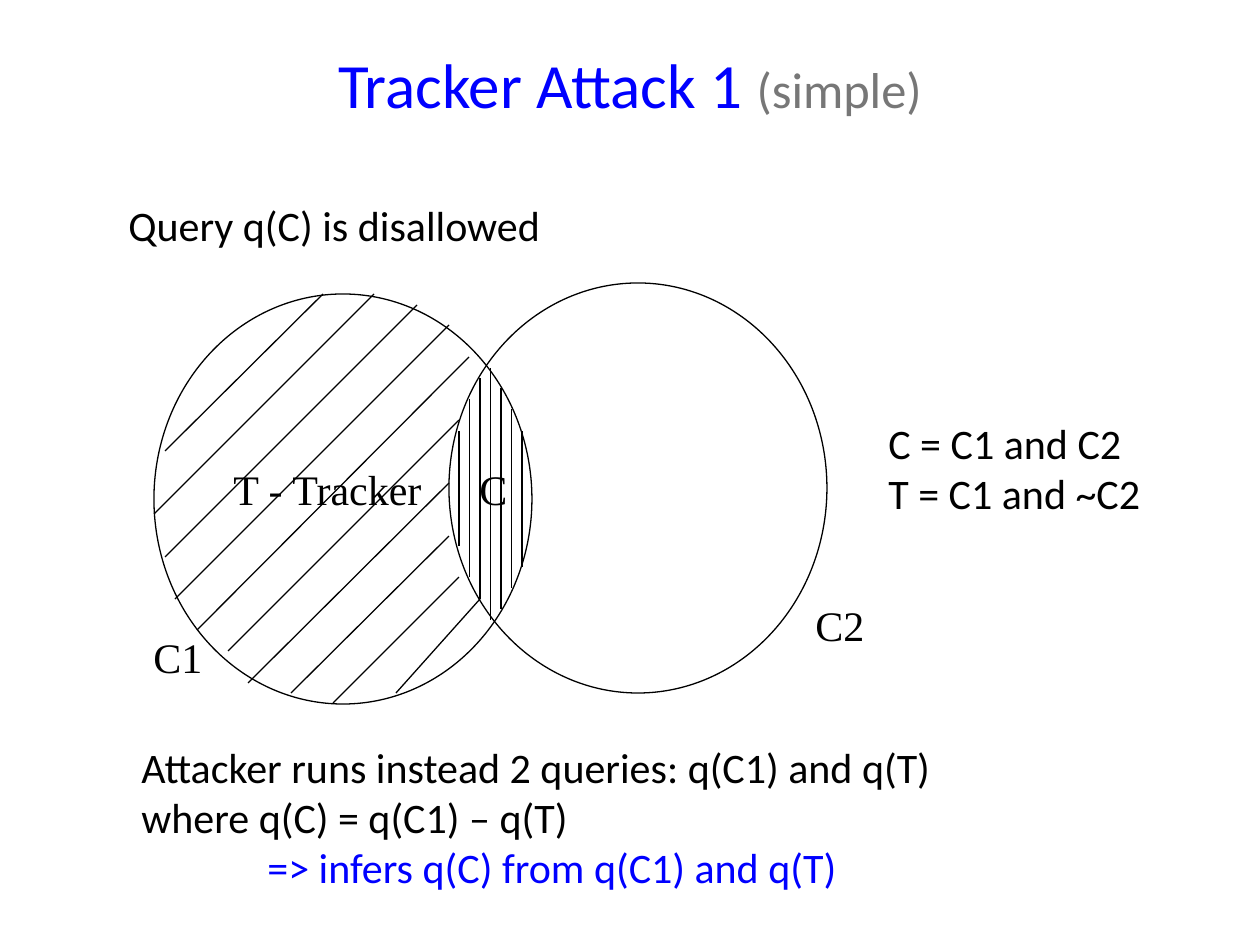
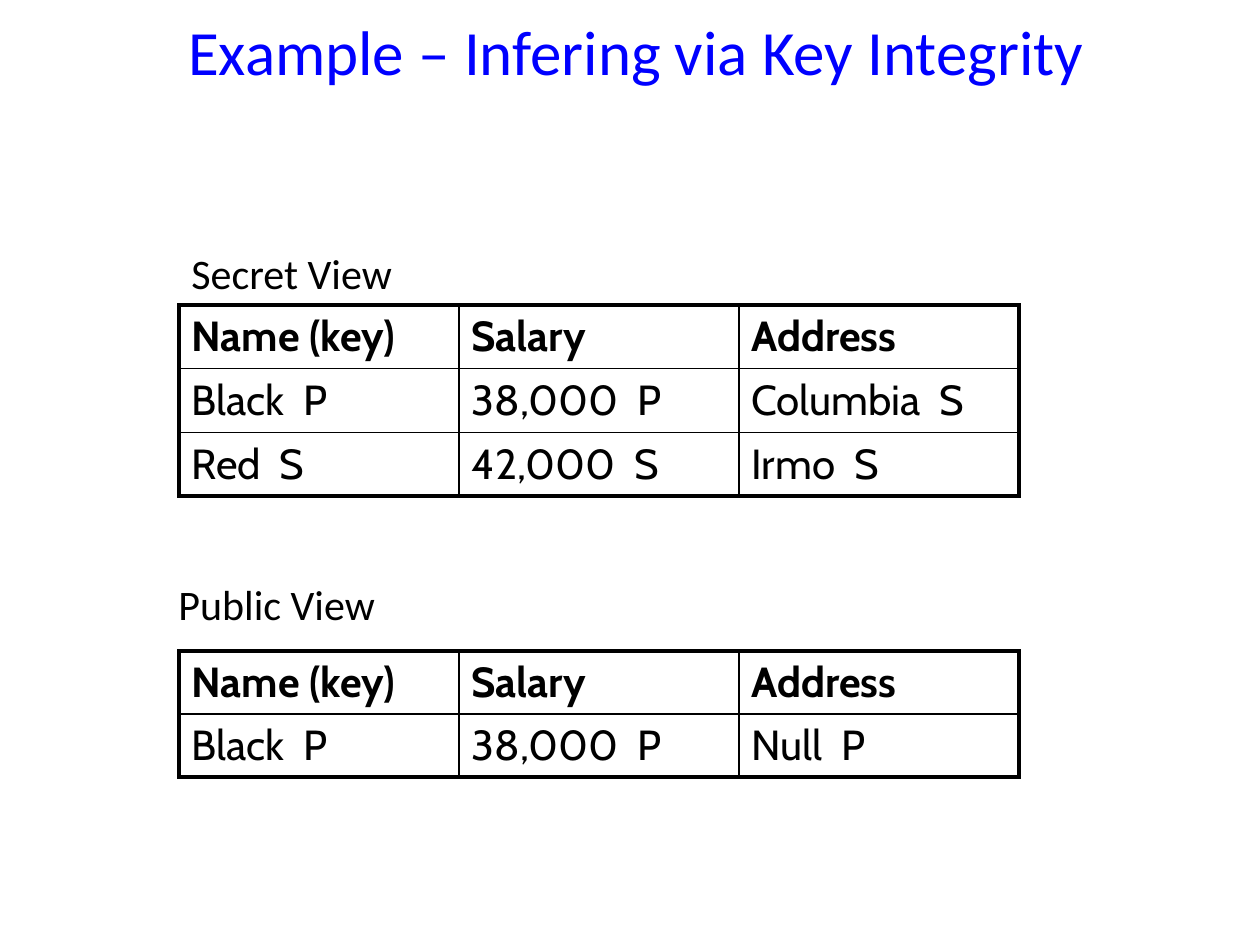
from lxml.etree import SubElement
from pptx import Presentation
from pptx.dml.color import RGBColor
from pptx.enum.shapes import MSO_CONNECTOR as Link, MSO_SHAPE as Form
from pptx.enum.text import MSO_ANCHOR as Anchor, MSO_AUTO_SIZE as Fit, PP_ALIGN as Align
from pptx.oxml.ns import qn
from pptx.util import Emu, Pt

SCALE = 914400 / 126
BLACK, BLUE, GREY, WHITE = "000000", "0000FF", "777777", "FFFFFF"
SANS, SERIF, GRID = "Calibri", "Times New Roman", "Cabin"
THIN, THICK = 1, 2.25

SLANTS = [
    (323, 294, 165, 451), (374, 294, 154, 514), (417, 305, 165, 557),
    (449, 325, 175, 599), (469, 357, 197, 630), (459, 420, 228, 651),
    (449, 483, 248, 683), (449, 536, 291, 693), (459, 577, 333, 703),
    (480, 599, 396, 693),
]
BARS = [(431, 546), (399, 577), (378, 599), (368, 620), (388, 609), (409, 588), (431, 567)]
HEAD = ["Name (key)", "Salary", "Address"]
SECRET = [HEAD, ["Black  P", "38,000  P", "Columbia  S"], ["Red  S", "42,000  S", "Irmo  S"]]
PUBLIC = [HEAD, ["Black  P", "38,000  P", "Null  P"]]


def px(*vals):
    """Turn pixels into EMU."""
    return [Emu(round(val * SCALE)) for val in vals]


def tint(code):
    """Turn a hex string into a colour."""
    return RGBColor.from_string(code)


def style(font, size, name=SANS, code=BLACK, bold=False):
    """Set the look of a font."""
    font.size, font.name, font.bold = Pt(size), name, bold
    font.color.rgb = tint(code)


def add_page(deck, box, runs):
    """Add a title-only slide with a title of (text, size, colour) runs."""
    page = deck.slides.add_slide(deck.slide_layouts[5])
    title = page.shapes.title
    title.left, title.top, title.width, title.height = px(*box)
    title.fill.solid()
    title.fill.fore_color.rgb = tint(WHITE)
    frame = title.text_frame
    frame.auto_size, frame.vertical_anchor = Fit.NONE, Anchor.MIDDLE
    para = frame.paragraphs[0]
    para.alignment = Align.CENTER
    for text, size, code in runs:
        run = para.add_run()
        run.text = text
        style(run.font, size, code=code)
    return page


def add_text(shapes, box, lines, name=SANS, wrap=False):
    """Add a text box and return its paragraphs."""
    frame = shapes.add_textbox(*px(*box)).text_frame
    frame.word_wrap, frame.auto_size = wrap, Fit.SHAPE_TO_FIT_TEXT
    frame.text = "\n".join(lines)
    for para in frame.paragraphs:
        style(para.font, 24, name)
    return frame.paragraphs


def add_ring(shapes, box):
    """Add an unfilled circle outline."""
    ring = shapes.add_shape(Form.OVAL, *px(*box))
    ring.shadow.inherit = False
    ring.fill.background()
    ring.line.color.rgb = tint(BLACK)
    ring.line.width = Pt(0.75)


def add_line(shapes, ends):
    """Add a thin straight line."""
    line = shapes.add_connector(Link.STRAIGHT, *px(*ends))
    line.line.color.rgb = tint(BLACK)
    line.line.width = Pt(0.75)
    SubElement(line._element.spPr, qn("a:effectLst"))


def add_edge(cell, side, width):
    """Draw one border of a cell."""
    edge = SubElement(cell._tc.get_or_add_tcPr(), qn("a:ln" + side), w=str(Pt(width)))
    fill = SubElement(edge, qn("a:solidFill"))
    SubElement(fill, qn("a:srgbClr"), val=BLACK)


def add_grid(page, left, top, rows):
    """Add a table with a thick frame and thin inner rules."""
    high, wide = len(rows), len(rows[0])
    table = page.shapes.add_table(high, wide, *px(left, top, 280 * wide, 63 * high)).table
    table.first_row = table.horz_banding = False
    for y, row in enumerate(rows):
        for x, text in enumerate(row):
            cell = table.cell(y, x)
            cell.text = text
            style(cell.text_frame.paragraphs[0].font, 24, GRID, bold=y == 0)
            outer = {"L": x == 0, "R": x == wide - 1, "T": y == 0, "B": y == high - 1}
            for side, rim in outer.items():
                add_edge(cell, side, THICK if rim else THIN)
            cell.fill.background()


def draw_venn(page):
    """Draw the two hatched circles with their labels."""
    shapes = page.shapes.add_group_shape().shapes
    add_ring(shapes, (154, 294, 378, 410))
    add_ring(shapes, (449, 283, 378, 410))
    add_text(shapes, (221, 457, 217, 63), ["T - Tracker"], SERIF)
    for ends in SLANTS:
        add_line(shapes, ends)
    for i, (top, end) in enumerate(BARS):
        x = 459 + 10.5 * i
        add_line(shapes, (x, top, x, end))
    add_text(shapes, (467, 457, 53, 63), ["C"], SERIF)
    add_text(shapes, (141, 625, 74, 63), ["C1"], SERIF)
    add_text(shapes, (803, 593, 74, 63), ["C2"], SERIF)


def build_attack(deck):
    """Build the tracker attack slide."""
    runs = [("Tracker Attack 1 ", 36, BLUE), ("(simple)", 28.8, GREY)]
    page = add_page(deck, (63, 42, 1134, 83), runs)
    draw_venn(page)
    add_text(page.shapes, (876, 411, 329, 113), ["C = C1 and C2", "T = C1 and ~C2"])
    lines = [
        "Attacker runs instead 2 queries: q(C1) and q(T)",
        "where q(C) = q(C1) – q(T)",
        "=> infers q(C) from q(C1) and q(T)",
    ]
    last = add_text(page.shapes, (129, 735, 1065, 164), lines, wrap=True)[-1]
    last.font.color.rgb = tint(BLUE)
    last._p.get_or_add_pPr().set("marL", str(px(126)[0]))
    add_text(page.shapes, (116, 193, 701, 63), ["Query q(C) is disallowed"], wrap=True)


def build_views(deck):
    """Build the key integrity slide."""
    runs = [("Example – Infering via Key Integrity", 36, BLUE)]
    page = add_page(deck, (12, 0, 1248, 101), runs)
    add_grid(page, 179, 305, SECRET)
    add_text(page.shapes, (179, 241, 243, 63), ["Secret View"])
    add_grid(page, 179, 651, PUBLIC)
    add_text(page.shapes, (166, 572, 236, 63), ["Public View"])


def main():
    """Build and save the deck."""
    deck = Presentation()
    deck.slide_width, deck.slide_height = px(1260, 945)
    build_attack(deck)
    build_views(deck)
    deck.save("out.pptx")


main()
